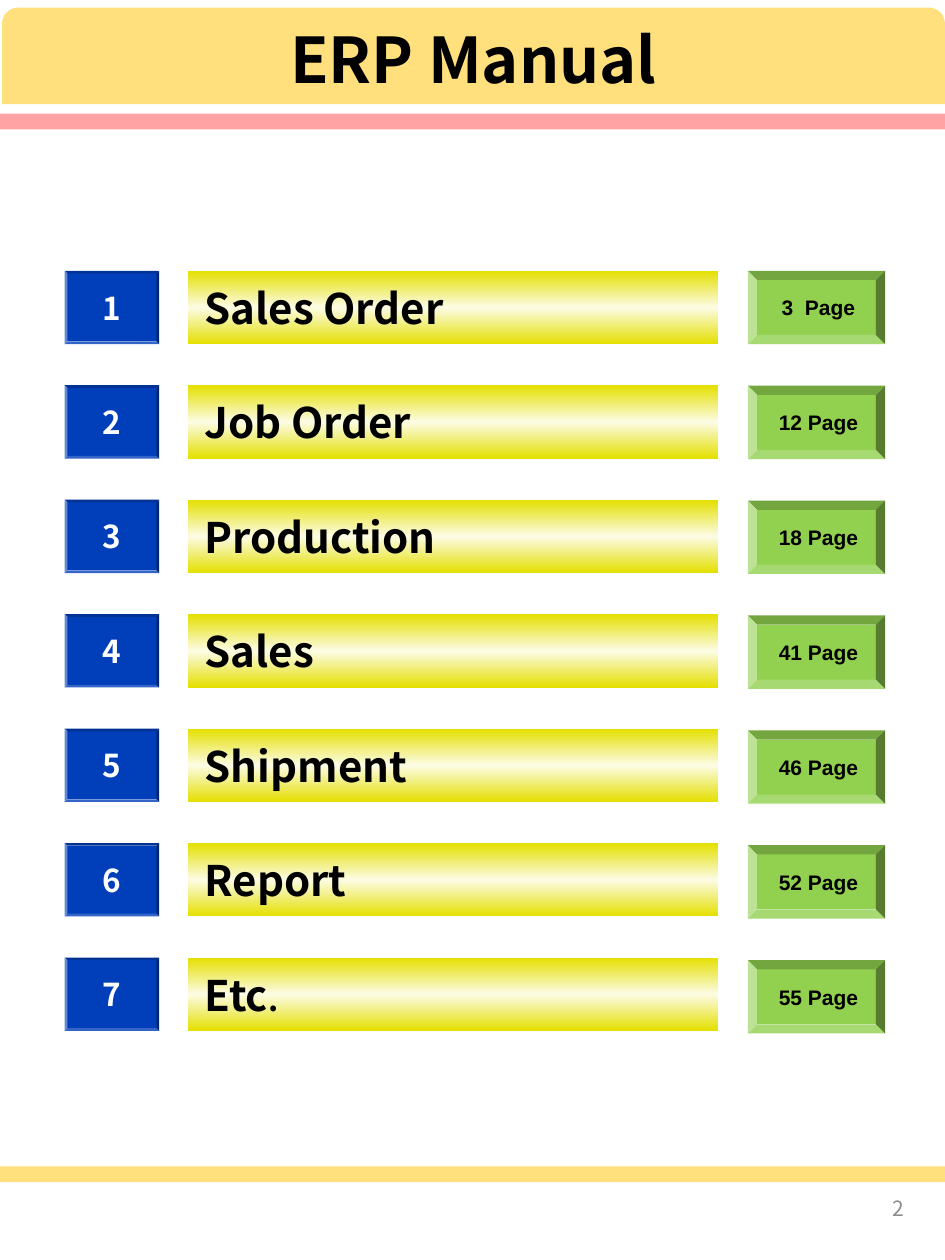
"""Build the contents slide of an ERP manual."""
from copy import deepcopy

from pptx import Presentation
from pptx.dml.color import RGBColor
from pptx.enum.shapes import MSO_SHAPE
from pptx.enum.text import MSO_ANCHOR, PP_ALIGN
from pptx.util import Pt

RECTANGLE = MSO_SHAPE.RECTANGLE
ROUND_TOP = MSO_SHAPE.ROUND_2_SAME_RECTANGLE
PROCESS = MSO_SHAPE.FLOWCHART_PROCESS
BEVEL = MSO_SHAPE.BEVEL
LEFT, CENTER, RIGHT = PP_ALIGN.LEFT, PP_ALIGN.CENTER, PP_ALIGN.RIGHT
MIDDLE = MSO_ANCHOR.MIDDLE

TITLE = "ERP Manual"
PAGE_NUMBER = "2"
CHAPTERS = [
    (["Sales Order"], "3  Page"),
    (["Job Order"], "12 Page"),
    (["Production"], "18 Page"),
    (["Sales"], "41 Page"),
    (["Shipment"], "46 Page"),
    (["Report"], "52 Page"),
    (["Etc", "."], "55 Page"),
]
COLORS = {
    "pink": "FFA3A5", "cream": "FFE07D", "blue": "003EBA", "green": "92D050",
    "yellow": "E4DF00", "ivory": "FCFCE5", "black": "000000",
    "white": "FFFFFF", "gray": "8C8C8C",
}
HEADING_FONT, PAGE_FONT = "Noto Sans CJK KR", "Arial"
FIRST_TOP, ROW_PITCH, PAGE_PITCH, ROW_HEIGHT = 154.8, 65.4, 65.65, 41.9
SMALL_RUN = 18


def color(name):
    return RGBColor.from_string(COLORS[name])


def add_block(slide, kind, left, top, width, height, fill):
    shape = slide.shapes.add_shape(kind, Pt(left), Pt(top), Pt(width), Pt(height))
    shape.shadow.inherit = False
    shape.line.fill.background()
    shape.fill.solid()
    shape.fill.fore_color.rgb = color(fill)
    return shape


def write(shape, runs, size, font_name, font_color, alignment, bold=True):
    frame = shape.text_frame
    frame.word_wrap = True
    frame.vertical_anchor = MIDDLE
    paragraph = frame.paragraphs[0]
    paragraph.alignment = alignment
    for text in runs:
        paragraph.add_run().text = text
    font = paragraph.font
    font.size, font.name, font.bold = Pt(size), font_name, bold
    font.color.rgb = color(font_color)


def shade(shape):
    fill = shape.fill
    fill.gradient()
    fill.gradient_angle = 90
    stop_list = shape.element.xpath(".//a:gsLst")[0]
    stop_list.append(deepcopy(stop_list[-1]))
    names = ("yellow", "ivory", "yellow")
    for stop, name, position in zip(fill.gradient_stops, names, (0, 0.5, 1)):
        stop.color.rgb = color(name)
        stop.position = position


def flip(shape):
    shape.element.spPr.xfrm.set("flipV", "1")
    shape.element.xpath(".//a:bodyPr")[0].set("rot", "10800000")


def add_chapter(slide, index, runs, page):
    top = FIRST_TOP + index * ROW_PITCH
    bar = add_block(slide, PROCESS, 107.5, top, 303, ROW_HEIGHT, "yellow")
    shade(bar)
    write(bar, runs, 24, HEADING_FONT, "black", LEFT)
    bar.text_frame.margin_left = Pt(9.4)
    for run in bar.text_frame.paragraphs[0].runs[1:]:
        run.font.size = Pt(SMALL_RUN)

    number = add_block(slide, BEVEL, 37, top, 54, ROW_HEIGHT, "blue")
    number.adjustments[0] = 0.036
    write(number, [str(index + 1)], 18, HEADING_FONT, "white", CENTER)
    flip(number)

    page_top = FIRST_TOP + index * PAGE_PITCH
    button = add_block(slide, BEVEL, 427.3, page_top, 78.5, ROW_HEIGHT, "green")
    write(button, [page], 12, PAGE_FONT, "black", CENTER)
    button.text_frame.margin_left = Pt(9.4)
    flip(button)


def main():
    presentation = Presentation()
    presentation.slide_width, presentation.slide_height = Pt(540), Pt(720)
    slide = presentation.slides.add_slide(presentation.slide_layouts[6])

    add_block(slide, RECTANGLE, 0, 65, 540, 9, "pink")
    add_block(slide, RECTANGLE, 0, 666.5, 540, 9, "cream")
    banner = add_block(slide, ROUND_TOP, 1.2, 4.3, 538.8, 55.2, "cream")
    write(banner, [TITLE], 36, HEADING_FONT, "black", CENTER)
    footer = slide.shapes.add_textbox(Pt(397.5), Pt(675), Pt(126), Pt(31))
    write(footer, [PAGE_NUMBER], 12, HEADING_FONT, "gray", RIGHT, bold=False)

    for index, (runs, page) in enumerate(CHAPTERS):
        add_chapter(slide, index, runs, page)
    presentation.save("out.pptx")


if __name__ == "__main__":
    main()
